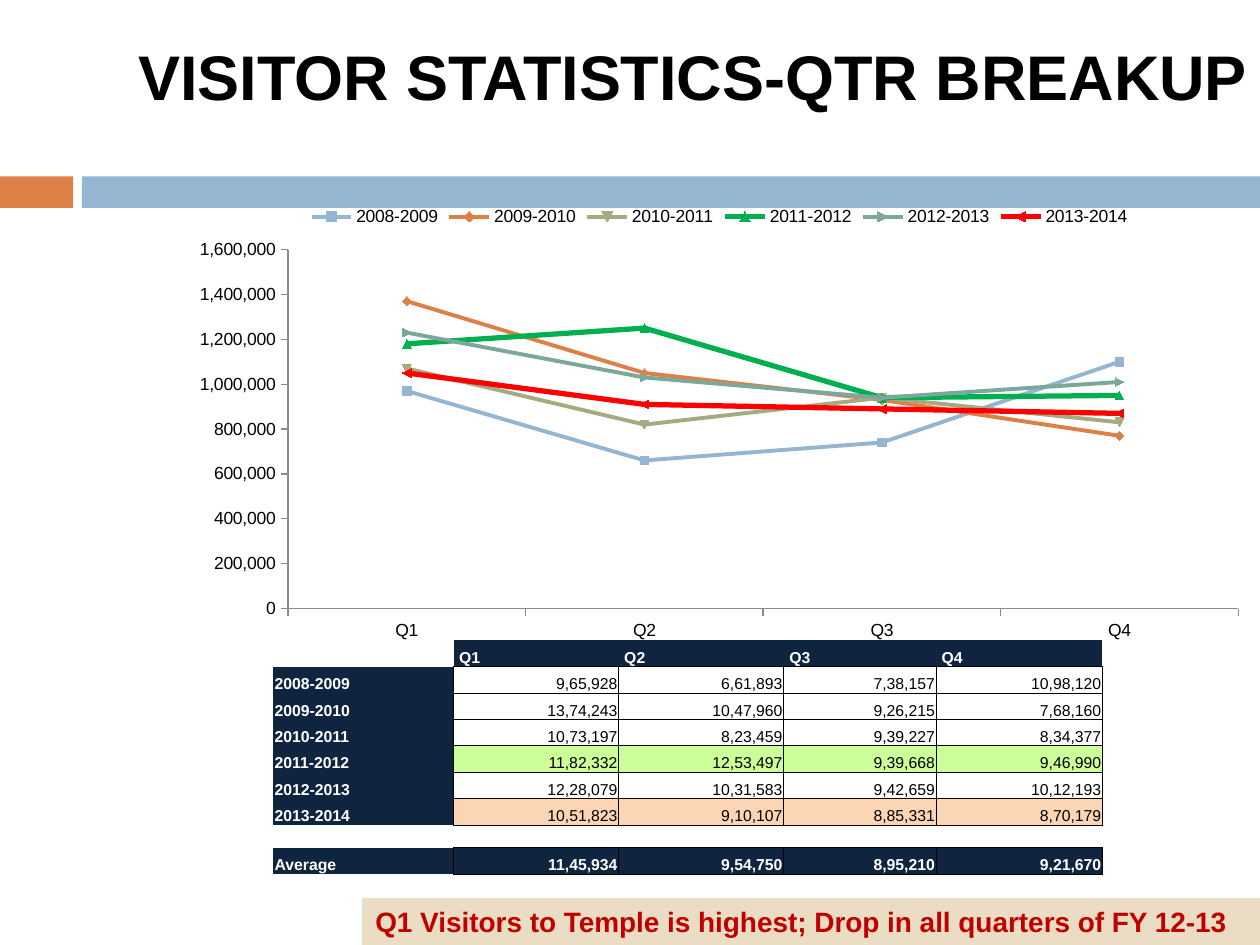
from lxml import etree
from pptx import Presentation
from pptx import util as u
from pptx.chart import data
from pptx.dml import color
from pptx.enum import chart as ch
from pptx.enum import shapes, text
from pptx.oxml import ns

HUES = {
    "black": "000000", "white": "FFFFFF", "navy": "0F253F", "blue": "94B6D2",
    "orange": "DD8047", "olive": "A5AB81", "green": "00B050", "teal": "7BA79D",
    "red": "FF0000", "lime": "CCFF99", "peach": "FCD5B4", "sand": "EBDDC3",
    "crimson": "C00000", "gray": "8B8B8B",
}
QTRS = ["Q1", "Q2", "Q3", "Q4"]
YEARS = [
    ("2008-2009", ["9,65,928", "6,61,893", "7,38,157", "10,98,120"], "blue", 2.25, None),
    ("2009-2010", ["13,74,243", "10,47,960", "9,26,215", "7,68,160"], "orange", 2.25, None),
    ("2010-2011", ["10,73,197", "8,23,459", "9,39,227", "8,34,377"], "olive", 2.25, None),
    ("2011-2012", ["11,82,332", "12,53,497", "9,39,668", "9,46,990"], "green", 3, "lime"),
    ("2012-2013", ["12,28,079", "10,31,583", "9,42,659", "10,12,193"], "teal", 2.25, None),
    ("2013-2014", ["10,51,823", "9,10,107", "8,85,331", "8,70,179"], "red", 3, "peach"),
]
MEANS = ["11,45,934", "9,54,750", "8,95,210", "9,21,670"]
PLAIN = "{2D5ABB26-0587-4C30-8999-92F81FD0307C}"


def rgb(hue):
    return color.RGBColor.from_string(HUES[hue])


def node(parent, tag, **attrs):
    return etree.SubElement(parent, ns.qn(tag), attrs)


class Deck:
    font = "Arial"

    def __init__(self, slide):
        self.slide = slide

    def box(self, at):
        return [u.Inches(n) for n in at]

    def style(self, font, size, hue, bold=False):
        font.name, font.size, font.bold = self.font, u.Pt(size), bold
        font.color.rgb = rgb(hue)

    def words(self, frame, line, size, hue):
        frame.word_wrap = False
        frame.auto_size = text.MSO_AUTO_SIZE.SHAPE_TO_FIT_TEXT
        para = frame.paragraphs[0]
        para.text = line
        para.alignment = text.PP_ALIGN.LEFT
        self.style(para.font, size, hue, True)

    def label(self, at, line, size, hue):
        shape = self.slide.shapes.add_textbox(*self.box(at))
        self.words(shape.text_frame, line, size, hue)

    def rect(self, at, hue, edge=False):
        shape = self.slide.shapes.add_shape(shapes.MSO_SHAPE.RECTANGLE, *self.box(at))
        shape.shadow.inherit = False
        shape.fill.solid()
        shape.fill.fore_color.rgb = rgb(hue)
        if edge:
            shape.line.color.rgb = rgb(hue)
            shape.line.width = u.Pt(0.75)
        else:
            shape.line.fill.background()
        return shape

    def chart(self, at, plot):
        info = data.CategoryChartData(number_format="#,##0")
        info.categories = QTRS
        for name, nums, *_ in YEARS:
            info.add_series(name, [round(int(n.replace(",", "")), -4) for n in nums])
        chart = self.slide.shapes.add_chart(
            ch.XL_CHART_TYPE.LINE_MARKERS, *self.box(at), info).chart
        self.style(chart.font, 10, "black")
        chart.has_title = False
        chart.has_legend = True
        chart.legend.position = ch.XL_LEGEND_POSITION.TOP
        chart.legend.include_in_layout = False
        chart.plots[0].vary_by_categories = False
        for line, (_, _, hue, width, _) in zip(chart.plots[0].series, YEARS):
            line.smooth = False
            line.format.line.color.rgb = rgb(hue)
            line.format.line.width = u.Pt(width)
            line.marker.size = 5
            line.marker.format.fill.solid()
            line.marker.format.fill.fore_color.rgb = rgb(hue)
            line.marker.format.line.color.rgb = rgb(hue)
        for axis in (chart.category_axis, chart.value_axis):
            axis.has_major_gridlines = False
            axis.major_tick_mark = ch.XL_TICK_MARK.OUTSIDE
            axis.format.line.color.rgb = rgb("gray")
        scale = chart.value_axis
        scale.minimum_scale, scale.maximum_scale, scale.major_unit = 0, 1600000, 200000
        scale.tick_labels.number_format = "#,##0"
        scale.tick_labels.number_format_is_linked = False
        self.place(chart, at, plot)

    def place(self, chart, at, plot):
        area = chart.element.find(".//" + ns.qn("c:plotArea")) if hasattr(
            chart, "element") else chart._chartSpace.find(".//" + ns.qn("c:plotArea"))
        for old in area.findall(ns.qn("c:layout")):
            area.remove(old)
        lay = etree.Element(ns.qn("c:layout"))
        area.insert(0, lay)
        man = node(lay, "c:manualLayout")
        node(man, "c:layoutTarget", val="inner")
        for key in "xy":
            node(man, f"c:{key}Mode", val="edge")
        parts = [(plot[0] - at[0]) / at[2], (plot[1] - at[1]) / at[3],
                 plot[2] / at[2], plot[3] / at[3]]
        for key, part in zip("xywh", parts):
            node(man, f"c:{key}", val=f"{part:.3f}")

    def cell(self, cell, line, hue, fill, bold, right, sides):
        cell.margin_left = cell.margin_right = cell.margin_top = u.Inches(0.01)
        cell.margin_bottom = 0
        cell.vertical_anchor = text.MSO_ANCHOR.BOTTOM
        para = cell.text_frame.paragraphs[0]
        if line:
            para.text = line
            para.alignment = text.PP_ALIGN.RIGHT if right else text.PP_ALIGN.LEFT
            self.style(para.font, 9, hue, bold)
        else:
            node(para._p, "a:endParaRPr", sz="600")
        props = cell._tc.get_or_add_tcPr()
        for side in sides:
            edge = node(props, f"a:ln{side}", w=str(u.Pt(0.5)))
            node(node(edge, "a:solidFill"), "a:srgbClr", val=HUES["black"])
        if fill:
            cell.fill.solid()
            cell.fill.fore_color.rgb = rgb(fill)
        else:
            cell.fill.background()

    def table(self, at, cols, rows):
        table = self.slide.shapes.add_table(len(rows), len(cols), *self.box(at)).table
        table.first_row = table.horz_banding = False
        table._tbl.tblPr.find(ns.qn("a:tableStyleId")).text = PLAIN
        for col, width in zip(table.columns, cols):
            col.width = u.Inches(width)
        for r, (line, hue, fill, bold, sides) in enumerate(rows):
            table.rows[r].height = u.Inches(0.21 if any(line) else 0.18)
            for c, word in enumerate(line):
                if c:
                    look = hue, fill, bold, r > 0, sides
                else:
                    look = "white", "navy" if word else None, True, False, "R" if word else ""
                self.cell(table.cell(r, c), word, *look)


def main():
    show = Presentation()
    show.slide_width, show.slide_height = u.Inches(10), u.Inches(7.5)
    deck = Deck(show.slides.add_slide(show.slide_layouts[6]))
    deck.rect((0, 1.4, 0.58, 0.25), "orange")
    deck.rect((0.65, 1.4, 9.35, 0.25), "blue")
    deck.label((1, 0.25, 9.01, 0.71), "VISITOR STATISTICS-QTR BREAKUP", 36, "black")
    deck.chart((1.42, 1.53, 8.58, 3.64), (2.29, 1.98, 7.54, 2.85))
    rows = [([""] + [f" {q}" for q in QTRS], "white", "navy", True, "B")]
    rows += [([name] + nums, "black", fill, False, "LRTB") for name, nums, _, _, fill in YEARS]
    rows.append(([""] * 5, "black", None, False, "TB"))
    rows.append((["Average"] + MEANS, "white", "navy", True, "LRTB"))
    deck.table((2.17, 5.08, 6.58, 1.86), (1.43, 1.31, 1.31, 1.21, 1.32), rows)
    note = deck.rect((2.88, 7.13, 7.12, 0.37), "sand", True)
    deck.words(note.text_frame,
               "Q1 Visitors to Temple is highest; Drop in all quarters of FY 12-13", 16, "crimson")
    show.save("out.pptx")


if __name__ == "__main__":
    main()
